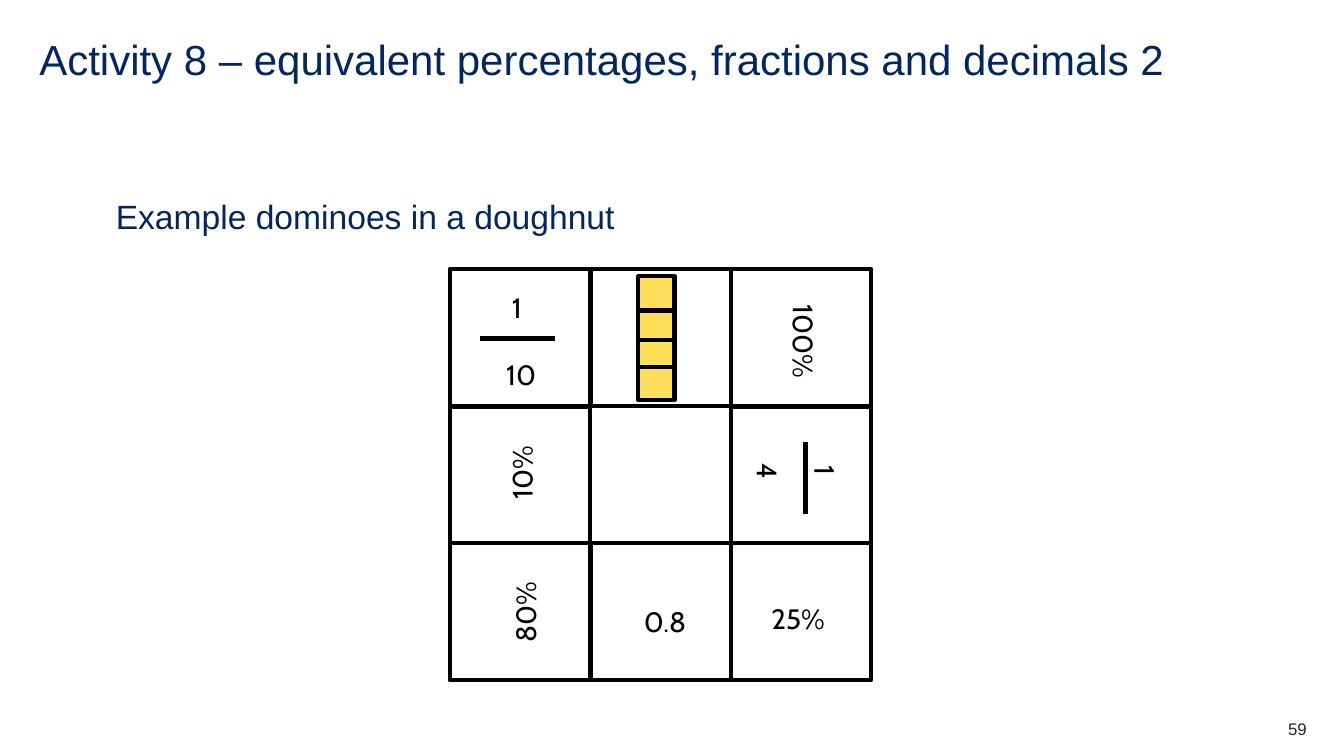
import lxml.etree
import pptx
import pptx.dml.color
import pptx.enum.shapes
import pptx.enum.text
import pptx.oxml.ns
import pptx.util

Inches = pptx.util.Inches
Pt = pptx.util.Pt
RGBColor = pptx.dml.color.RGBColor
ALIGN = pptx.enum.text.PP_ALIGN

NAVY = RGBColor(0x00, 0x26, 0x64)
CHARCOAL = RGBColor(0x22, 0x27, 0x2B)
BLACK = RGBColor(0, 0, 0)
WHITE = RGBColor(0xFF, 0xFF, 0xFF)
YELLOW = RGBColor(0xFF, 0xDE, 0x59)

TITLE_FONT = {"name": "Arial", "size": Pt(30)}
HEADING_FONT = {"name": "Arial", "size": Pt(24)}
NUMBER_FONT = {"name": "Arial", "size": Pt(12)}
DOMINO_FONT = {"name": "Cabin", "size": Pt(20)}
NO_MARGINS = dict.fromkeys(
    ("margin_left", "margin_top", "margin_right", "margin_bottom"), 0)

# Domino halves, measured from the top left corner of the doughnut
COLUMNS = (0, 1.4, 2.79)
ROWS = (0, 1.37, 2.72)
TILE_SIZE = (1.39, 1.36)
# Wording, left, top, width, height, rotation
VALUES = (
    ("1", 0.59, -0.04, 0.15, 0.61, 0),
    ("10", 0.46, 0.63, 0.5, 0.61, 0),
    ("100%", 3.15, 0.41, 0.94, 0.62, 90),
    ("10%", 0.24, 1.71, 0.73, 0.62, 270),
    ("1", 3.76, 1.69, 0.15, 0.62, 90),
    ("4", 3.08, 1.7, 0.37, 0.62, 90),
    ("80%", 0.13, 3.09, 1.02, 0.62, 270),
    ("0.8", 1.69, 3.08, 0.89, 0.61, 0),
    ("25%", 3.01, 3.05, 0.89, 0.61, 0),
)
FRACTION_BARS = ((0.3, 0.69, 1.04, 0.69), (3.53, 1.72, 3.53, 2.43))
BLOCK_TOPS = (0.96, 0.63, 0.36, 0.07)


def apply_format(target, values):
    for attribute, value in values.items():
        setattr(target, attribute, value)


def write(shape, wording, font, colour, paragraph_format=None, frame_format=NO_MARGINS):
    frame = shape.text_frame
    apply_format(frame, {"word_wrap": True,
                         "auto_size": pptx.enum.text.MSO_AUTO_SIZE.NONE,
                         "vertical_anchor": pptx.enum.text.MSO_ANCHOR.TOP,
                         **frame_format})
    paragraph = frame.paragraphs[0]
    apply_format(paragraph, paragraph_format or {})
    run = paragraph.add_run()
    run.text = wording
    apply_format(run.font, font)
    run.font.color.rgb = colour


def add_text(slide, box, *content):
    label = slide.shapes.add_textbox(*map(Inches, box))
    write(label, *content)
    return label


def add_square(slide, box, colour):
    square = slide.shapes.add_shape(
        pptx.enum.shapes.MSO_SHAPE.RECTANGLE, *map(Inches, box))
    square.shadow.inherit = False
    square.fill.solid()
    square.fill.fore_color.rgb = colour
    square.line.color.rgb = BLACK
    square.line.width = Pt(3)


def add_fraction_bar(slide, ends):
    bar = slide.shapes.add_connector(
        pptx.enum.shapes.MSO_CONNECTOR.STRAIGHT, *map(Inches, ends))
    bar.line.color.rgb = BLACK
    bar.line.width = Pt(4)
    lxml.etree.SubElement(bar._element.spPr, pptx.oxml.ns.qn("a:effectLst"))


def add_title(slide, box, wording):
    title = slide.shapes.title
    apply_format(title, dict(zip(("left", "top", "width", "height"), map(Inches, box))))
    write(title, wording, TITLE_FONT, NAVY,
          {"alignment": ALIGN.LEFT, "line_spacing": 0.9})


def add_doughnut(slide, left, top):
    """Ring of eight domino halves around an empty centre."""
    for row, tile_top in enumerate(ROWS):
        for column, tile_left in enumerate(COLUMNS):
            if (row, column) != (1, 1):
                add_square(slide, (left + tile_left, top + tile_top, *TILE_SIZE), WHITE)
    for block_top in BLOCK_TOPS:
        add_square(slide, (left + 1.87, top + block_top, 0.36, 0.34), YELLOW)
    for wording, x, y, width, height, rotation in VALUES:
        value = add_text(slide, (left + x, top + y, width, height),
                         wording, DOMINO_FONT, BLACK,
                         {"alignment": ALIGN.CENTER, "line_spacing": Pt(42)})
        value.rotation = rotation
    for x1, y1, x2, y2 in FRACTION_BARS:
        add_fraction_bar(slide, (left + x1, top + y1, left + x2, top + y2))


def main():
    deck = pptx.Presentation()
    deck.slide_width, deck.slide_height = Inches(13.33), Inches(7.5)
    slide = deck.slides.add_slide(deck.slide_layouts.get_by_name("Title Only"))
    add_title(slide, (0.39, 0.39, 11.34, 0.6),
              "Activity 8 – equivalent percentages, fractions and decimals 2")
    add_text(slide, (12.17, 7.13, 0.79, 0.2), "59", NUMBER_FONT, CHARCOAL,
             {"alignment": ALIGN.RIGHT})
    add_doughnut(slide, 4.46, 2.67)
    add_text(slide, (1.05, 1.89, 6.67, 0.5), "Example dominoes in a doughnut",
             HEADING_FONT, NAVY, None, {})
    deck.save("out.pptx")


if __name__ == "__main__":
    main()
